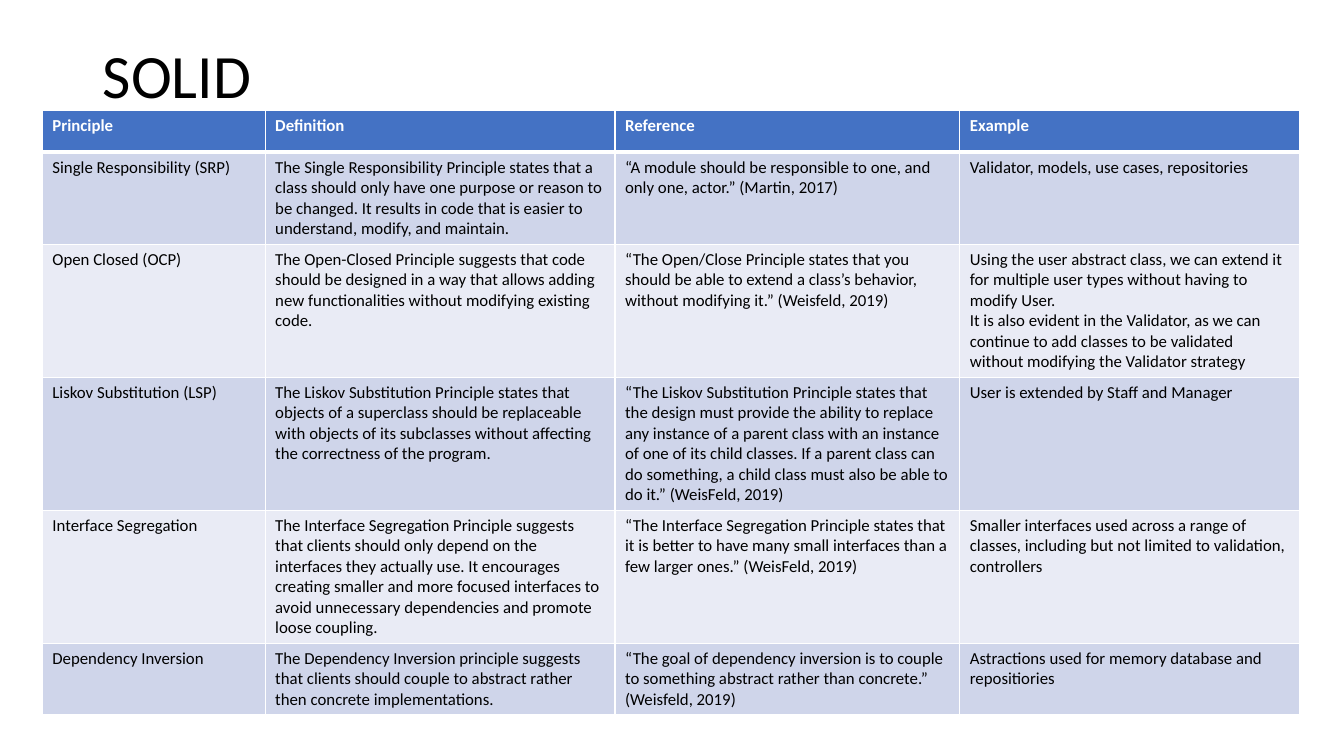
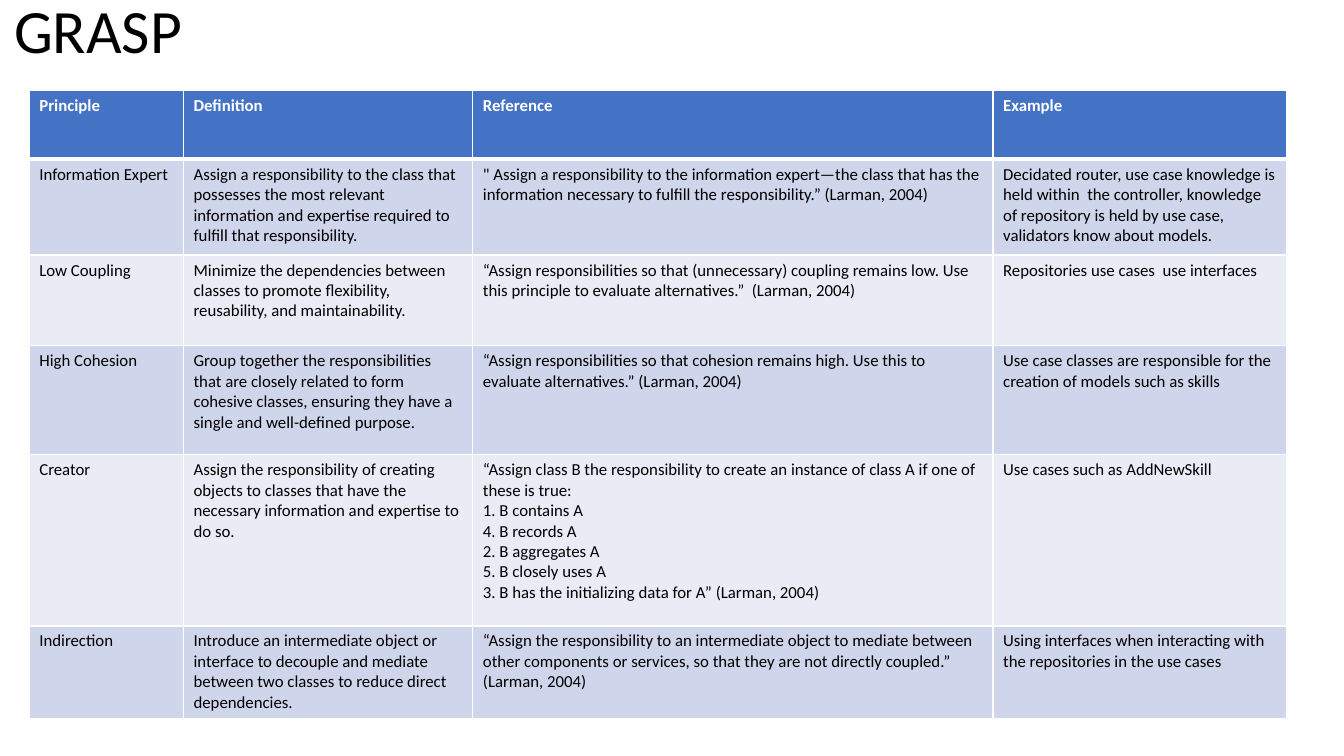
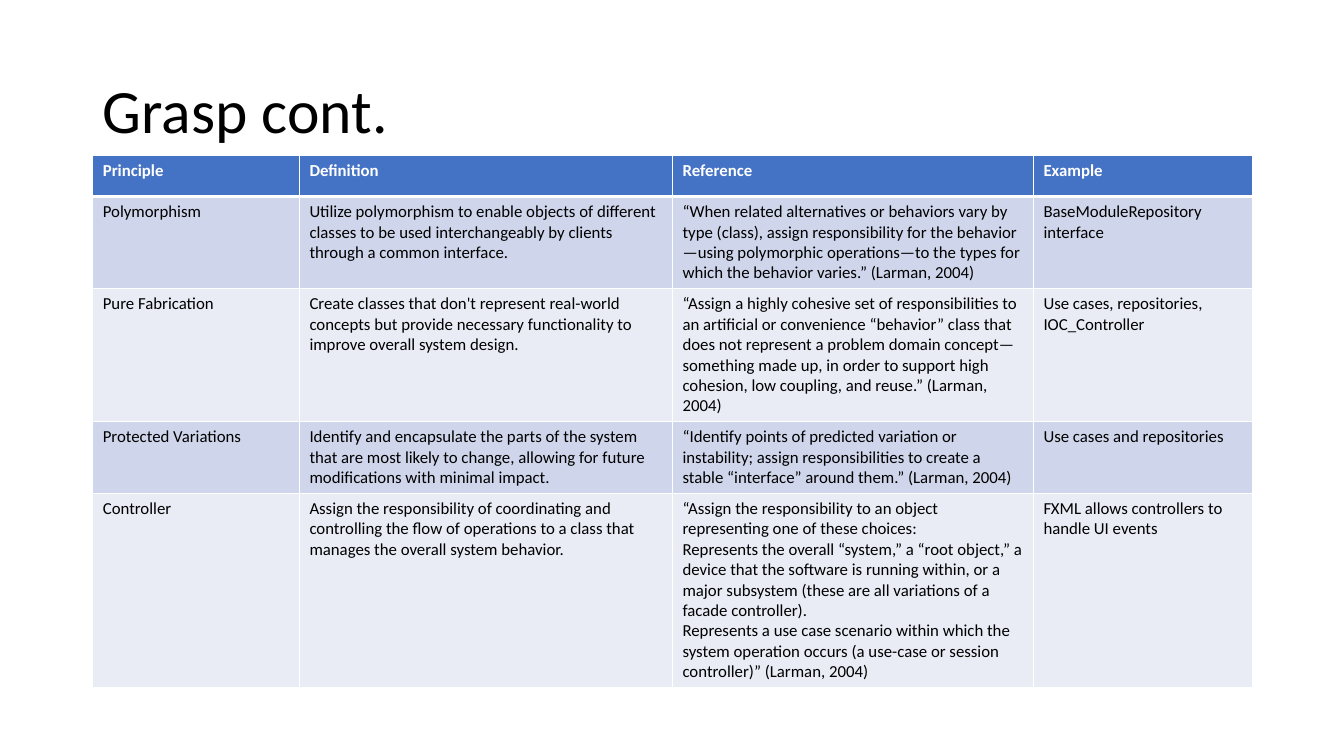
"""Build three slides of tables on the SOLID and GRASP design principles."""
from lxml.etree import SubElement
from pptx import Presentation
from pptx.dml.color import RGBColor
from pptx.enum.text import MSO_ANCHOR, MSO_AUTO_SIZE, PP_ALIGN
from pptx.oxml.ns import qn
from pptx.util import Inches, Pt

COLORS = {
    "text": "000000",
    "white": "FFFFFF",
    "head": "4472C4",
    "odd": "CFD5EA",
    "even": "E9EBF5",
}
FONT = "Calibri"
HEADS = ("Principle", "Definition", "Reference", "Example")

SLIDES = [
    {
        "title": "SOLID",
        "spot": (0.92, 0.05),
        "table": (0.42, 1.1),
        "cols": (2.21, 3.47, 3.42, 3.37),
        "heights": (0.41, 0.9, 1.3, 1.3, 1.3, 0.7),
        "rows": [
            (
                "Single Responsibility (SRP)",
                "The Single Responsibility Principle states that a class should only have one "
                "purpose or reason to be changed. It results in code that is easier to "
                "understand, modify, and maintain.",
                "“A module should be responsible to one, and only one, actor.” (Martin, 2017)",
                "Validator, models, use cases, repositories",
            ),
            (
                "Open Closed (OCP)",
                "The Open-Closed Principle suggests that code should be designed in a way that "
                "allows adding new functionalities without modifying existing code.",
                "“The Open/Close Principle states that you should be able to extend a class’s "
                "behavior, without modifying it.” (Weisfeld, 2019)",
                "Using the user abstract class, we can extend it for multiple user types "
                "without having to modify User.\n"
                "It is also evident in the Validator, as we can continue to add classes to be "
                "validated without modifying the Validator strategy",
            ),
            (
                "Liskov Substitution (LSP)",
                "The Liskov Substitution Principle states that objects of a superclass should "
                "be replaceable with objects of its subclasses without affecting the "
                "correctness of the program.",
                "“The Liskov Substitution Principle states that the design must provide the "
                "ability to replace any instance of a parent class with an instance of one of "
                "its child classes. If a parent class can do something, a child class must "
                "also be able to do it.” (WeisFeld, 2019)",
                "User is extended by Staff and Manager",
            ),
            (
                "Interface Segregation",
                "The Interface Segregation Principle suggests that clients should only depend "
                "on the interfaces they actually use. It encourages creating smaller and more "
                "focused interfaces to avoid unnecessary dependencies and promote loose "
                "coupling.",
                "“The Interface Segregation Principle states that it is better to have many "
                "small interfaces than a few larger ones.” (WeisFeld, 2019)",
                "Smaller interfaces used across a range of classes, including but not limited "
                "to validation, controllers",
            ),
            (
                "Dependency Inversion",
                "The Dependency Inversion principle suggests that clients should couple to "
                "abstract rather then concrete implementations.",
                "“The goal of dependency inversion is to couple to something abstract rather "
                "than concrete.” (Weisfeld, 2019)",
                "Astractions used for memory database and repositiories",
            ),
        ],
    },
    {
        "title": "GRASP",
        "spot": (0.04, -0.39),
        "table": (0.29, 0.9),
        "cols": (1.53, 2.87, 5.16, 2.91),
        "heights": (0.68, 0.95, 0.9, 1.08, 1.7, 0.92),
        "rows": [
            (
                "Information Expert",
                "Assign a responsibility to the class that possesses the most relevant "
                "information and expertise required to fulfill that responsibility.",
                "\" Assign a responsibility to the information expert—the class that has the "
                "information necessary to fulfill the responsibility.” (Larman, 2004)",
                "Decidated router, use case knowledge is held within  the controller, "
                "knowledge of repository is held by use case, validators know about models.",
            ),
            (
                "Low Coupling",
                "Minimize the dependencies between classes to promote flexibility, "
                "reusability, and maintainability.",
                "“Assign responsibilities so that (unnecessary) coupling remains low. Use this "
                "principle to evaluate alternatives.”  (Larman, 2004)",
                "Repositories use cases  use interfaces",
            ),
            (
                "High Cohesion",
                "Group together the responsibilities that are closely related to form cohesive "
                "classes, ensuring they have a single and well-defined purpose.",
                "“Assign responsibilities so that cohesion remains high. Use this to evaluate "
                "alternatives.” (Larman, 2004)",
                "Use case classes are responsible for the creation of models such as skills",
            ),
            (
                "Creator",
                "Assign the responsibility of creating objects to classes that have the "
                "necessary information and expertise to do so.",
                "“Assign class B the responsibility to create an instance of class A if one of "
                "these is true:\n"
                "1. B contains A\n"
                "4. B records A\n"
                "2. B aggregates A\n"
                "5. B closely uses A\n"
                "3. B has the initializing data for A” (Larman, 2004)",
                "Use cases such as AddNewSkill",
            ),
            (
                "Indirection",
                "Introduce an intermediate object or interface to decouple and mediate between "
                "two classes to reduce direct dependencies.",
                "“Assign the responsibility to an intermediate object to mediate between other "
                "components or services, so that they are not directly coupled.” "
                "(Larman, 2004)",
                "Using interfaces when interacting with the repositories in the use cases",
            ),
        ],
    },
    {
        "title": "Grasp cont.",
        "spot": (0.92, 0.4),
        "table": (0.92, 1.54),
        "cols": (2.05, 3.7, 3.58, 2.17),
        "heights": (0.41, 0.9, 1.3, 0.7, 1.9),
        "rows": [
            (
                "Polymorphism",
                "Utilize polymorphism to enable objects of different classes to be used "
                "interchangeably by clients through a common interface.",
                "“When related alternatives or behaviors vary by type (class), assign "
                "responsibility for the behavior—using polymorphic operations—to the types for "
                "which the behavior varies.” (Larman, 2004)",
                "BaseModuleRepository interface",
            ),
            (
                "Pure Fabrication",
                "Create classes that don't represent real-world concepts but provide necessary "
                "functionality to improve overall system design.",
                "“Assign a highly cohesive set of responsibilities to an artificial or "
                "convenience “behavior” class that does not represent a problem domain "
                "concept—something made up, in order to support high cohesion, low coupling, "
                "and reuse.” (Larman, 2004)",
                "Use cases, repositories, IOC_Controller",
            ),
            (
                "Protected Variations",
                "Identify and encapsulate the parts of the system that are most likely to "
                "change, allowing for future modifications with minimal impact.",
                "“Identify points of predicted variation or instability; assign "
                "responsibilities to create a stable “interface” around them.” (Larman, 2004)",
                "Use cases and repositories",
            ),
            (
                "Controller",
                "Assign the responsibility of coordinating and controlling the flow of "
                "operations to a class that manages the overall system behavior.",
                "“Assign the responsibility to an object representing one of these choices:\n"
                "Represents the overall “system,” a “root object,” a device that the software "
                "is running within, or a major subsystem (these are all variations of a facade "
                "controller).\n"
                "Represents a use case scenario within which the system operation occurs (a "
                "use-case or session controller)” (Larman, 2004)",
                "FXML allows controllers to handle UI events",
            ),
        ],
    },
]


def write(frame, text, size=12, color="text", bold=False, spacing=1.0):
    """Fill a text frame, one paragraph a line, in one format."""
    frame.text = text
    for para in frame.paragraphs:
        para.alignment = PP_ALIGN.LEFT
        para.line_spacing = spacing
        para.font.name = FONT
        para.font.size = Pt(size)
        para.font.bold = bold
        para.font.color.rgb = RGBColor.from_string(COLORS[color])


def border(cell, **widths):
    """Draw white cell borders, with widths in points by side."""
    props = cell._tc.get_or_add_tcPr()
    for side, width in widths.items():
        line = SubElement(props, qn(f"a:ln{side}"), w=str(Pt(width)))
        fill = SubElement(line, qn("a:solidFill"))
        SubElement(fill, qn("a:srgbClr"), val=COLORS["white"])


deck = Presentation()
deck.slide_width = Inches(13.33)
deck.slide_height = Inches(7.5)

for page in SLIDES:
    slide = deck.slides.add_slide(deck.slide_layouts[5])
    title = slide.shapes.title
    title.left, title.top = [Inches(n) for n in page["spot"]]
    title.width, title.height = Inches(11.5), Inches(1.45)
    frame = title.text_frame
    frame.auto_size = MSO_AUTO_SIZE.NONE
    frame.vertical_anchor = MSO_ANCHOR.MIDDLE
    write(frame, page["title"], size=44, spacing=0.9)

    rows = [HEADS, *page["rows"]]
    left, top = page["table"]
    table = slide.shapes.add_table(
        len(rows), len(HEADS), Inches(left), Inches(top),
        Inches(sum(page["cols"])), Inches(sum(page["heights"])),
    ).table
    for col, width in zip(table.columns, page["cols"]):
        col.width = Inches(width)
    for row, height in zip(table.rows, page["heights"]):
        row.height = Inches(height)

    for i, texts in enumerate(rows):
        head = i == 0
        shade = "head" if head else "odd" if i % 2 else "even"
        for j, text in enumerate(texts):
            cell = table.cell(i, j)
            border(cell, L=1, R=1, T=3 if i == 1 else 1, B=3 if head else 1)
            cell.fill.solid()
            cell.fill.fore_color.rgb = RGBColor.from_string(COLORS[shade])
            write(cell.text_frame, text, color="white" if head else "text", bold=head)

deck.save("out.pptx")
